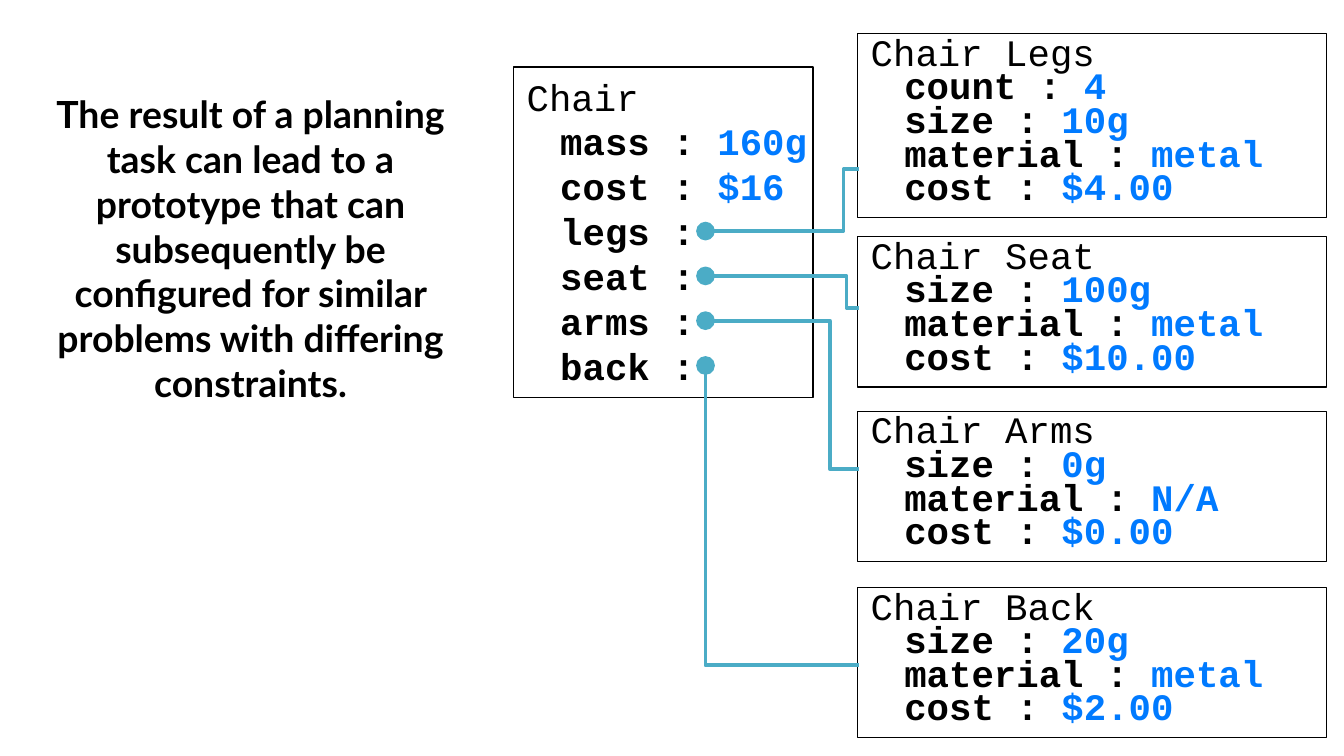
"""Builds a slide showing a chair prototype linked to the frames of its parts."""
from lxml import etree
from pptx import Presentation
from pptx import util as u
from pptx.dml.color import RGBColor
from pptx.enum import shapes, text
from pptx.oxml.ns import qn

MESSAGE = ("The result of a planning task can lead to a prototype that can "
           "subsequently be configured for similar problems with differing constraints.")
CHAIR = ("Chair", [("mass : ", "160g"), ("cost : ", "$16"), ("legs :", ""),
                   ("seat :", ""), ("arms :", ""), ("back :", "")])
PARTS = [
    {"name": "Chair Legs", "top": 0.25, "link_y": 1.26, "bend": 0.10,
     "slots": [("count : ", "4"), ("size : ", "10g"),
               ("material : ", "metal"), ("cost : ", "$4.00")]},
    {"name": "Chair Seat", "top": 1.76, "link_y": 2.29, "bend": 0.08,
     "slots": [("size : ", "100g"), ("material : ", "metal"), ("cost : ", "$10.00")]},
    {"name": "Chair Arms", "top": 3.06, "link_y": 3.49, "bend": 0.19,
     "slots": [("size : ", "0g"), ("material : ", "N/A"), ("cost : ", "$0.00")]},
    {"name": "Chair Back", "top": 4.37, "link_y": 4.95, "bend": 1,
     "slots": [("size : ", "20g"), ("material : ", "metal"), ("cost : ", "$2.00")]},
]
BLACK, BLUE, TEAL = "000000", "007AFF", "4BACC6"
SLIDE_WIDTH = 10
SLIDE_HEIGHT = SLIDE_WIDTH * 9 / 16
PART_LEFT, PART_WIDTH, PART_PITCH = 6.38, 3.49, 18
CHAIR_PITCH = 24
PORT_X, FIRST_PORT_Y = 5.25, 1.72
SLOT_INDENT = 0.25


def rgb(value):
    return RGBColor.from_string(value)


def inches(*lengths):
    return [u.Inches(length) for length in lengths]


def style(span, font, color, bold):
    span.font.name, span.font.size, span.font.bold = font, u.Pt(20), bold
    span.font.color.rgb = rgb(color)


def add_span(para, words, color, bold):
    span = para.add_run()
    span.text = words
    style(span, "Courier New", color, bold)


def add_frame(page, name, slots, area, pitch):
    box = page.shapes.add_shape(shapes.MSO_SHAPE.RECTANGLE, *inches(*area))
    box.shadow.inherit = False
    box.fill.background()
    box.line.color.rgb, box.line.width = rgb(BLACK), u.Pt(0.75)
    frame = box.text_frame
    frame.word_wrap = True
    frame.vertical_anchor = text.MSO_ANCHOR.TOP
    add_span(frame.paragraphs[0], name, BLACK, False)
    for label, value in slots:
        para = frame.add_paragraph()
        para._p.get_or_add_pPr().set("marL", str(u.Inches(SLOT_INDENT)))
        add_span(para, label, BLACK, True)
        if value:
            add_span(para, value, BLUE, True)
    for para in frame.paragraphs:
        para.alignment, para.line_spacing = text.PP_ALIGN.LEFT, u.Pt(pitch)
    return frame


def add_link(page, start, end, bend):
    link = page.shapes.add_connector(shapes.MSO_CONNECTOR.ELBOW, *inches(*start, *end))
    link.line.color.rgb, link.line.width = rgb(TEAL), u.Pt(2)
    properties = link._element.spPr
    etree.SubElement(properties.find(qn("a:ln")), qn("a:tailEnd"),
                     type="oval", w="lg", len="lg")
    etree.SubElement(properties, qn("a:effectLst"))
    guides = properties.find(qn("a:prstGeom")).find(qn("a:avLst"))
    etree.SubElement(guides, qn("a:gd"), name="adj1", fmla=f"val {round(bend * 100000)}")


def main():
    deck = Presentation()
    deck.slide_width, deck.slide_height = inches(SLIDE_WIDTH, SLIDE_HEIGHT)
    page = deck.slides.add_slide(deck.slide_layouts[6])

    for part in PARTS:
        height = (len(part["slots"]) + 1) * PART_PITCH / 72 + 0.12
        add_frame(page, part["name"], part["slots"],
                  (PART_LEFT, part["top"], PART_WIDTH, height), PART_PITCH)
    chair = add_frame(page, *CHAIR, (3.82, 0.5, 2.23, 2.46), CHAIR_PITCH)
    chair.margin_right = 0

    for row, part in enumerate(PARTS):
        port = (PORT_X, FIRST_PORT_Y + row * CHAIR_PITCH / 72)
        add_link(page, (PART_LEFT + 0.01, part["link_y"]), port, part["bend"])

    message = page.shapes.add_textbox(*inches(0.13, 0.63, 3.47, 4.33)).text_frame
    message.word_wrap = True
    message.text = MESSAGE
    message.paragraphs[0].alignment = text.PP_ALIGN.CENTER
    style(message.paragraphs[0].runs[0], "Lato", BLACK, True)

    deck.save("out.pptx")


if __name__ == "__main__":
    main()
